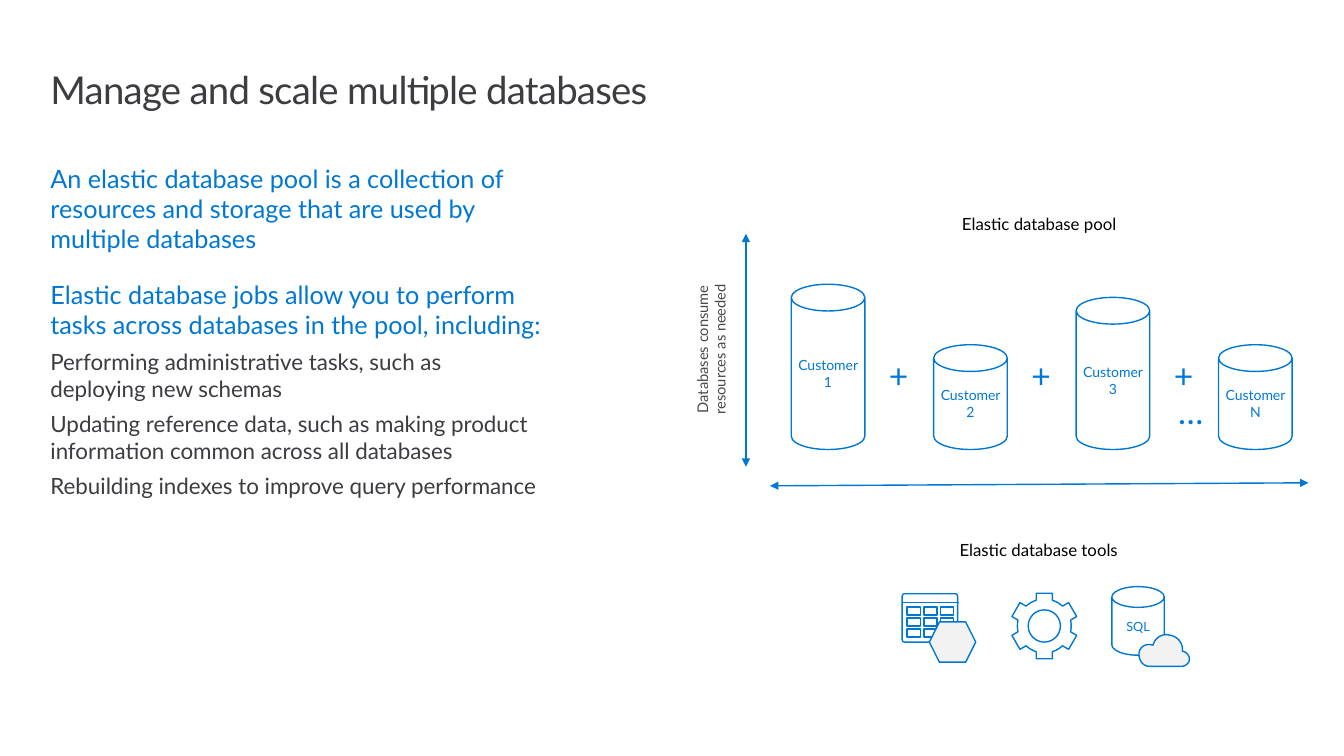
import math
from dataclasses import dataclass
from typing import Any

from lxml import etree
from pptx import Presentation
from pptx import util as u
from pptx.dml import color
from pptx.enum import shapes, text
from pptx.oxml import ns
from pptx.slide import Slide

SLIDE_COLS, SLIDE_ROWS = 133.33, 75
CELL = u.Inches(0.1)
FONT = "Lato"
COLORS = {
    "line": "0078D3", "label": "0078D7", "body": "3C3C41",
    "axis": "494949", "caption": "000000", "pale": "F2F2F2",
}
KIND = shapes.MSO_SHAPE


@dataclass
class Box:
    col: float
    row: float
    cols: float
    rows: float

    def place(self) -> tuple[int, int, int, int]:
        return cells(self.col), cells(self.row), cells(self.cols), cells(self.rows)


@dataclass
class Label:
    words: str
    box: Box
    size: float
    hue: str
    spacing: float = 1.0
    turn: int = 0
    wrap: bool = True


@dataclass
class Bullet:
    words: str
    size: int
    hue: str
    before: int


@dataclass
class Customer:
    name: str
    rows: float


TITLE = Label("Manage and scale multiple databases", Box(5, 6.1, 123.6, 8.9), 27.4, "body", 0.9)
BODY_BOX = Box(5, 15.2, 52.8, 35)
BODY = [
    Bullet("An elastic database pool is a collection of resources and storage "
           "that are used by multiple databases", 18, "line", 0),
    Bullet("Elastic database jobs allow you to perform tasks across databases "
           "in the pool, including:", 18, "line", 12),
    Bullet("Performing administrative tasks, such as\vdeploying new schemas", 16, "body", 0),
    Bullet("Updating reference data, such as making product information common "
           "across all databases", 16, "body", 0),
    Bullet("Rebuilding indexes to improve query performance", 16, "body", 0),
]
LABELS = [
    Label("…", Box(115.9, 38.3, 3.2, 5), 24, "label"),
    Label("Elastic database pool", Box(94.1, 20.7, 18, 3), 12, "caption", wrap=False),
    Label("Databases consume resources as needed", Box(62.3, 32.4, 16.5, 4.5), 10.5, "axis", turn=270),
    Label("Elastic database tools", Box(92.1, 53.1, 21.9, 3), 12, "caption"),
]
CUSTOMERS = [Customer("1", 16.4), Customer("2", 10.4), Customer("3", 15.1), Customer("N", 10.4)]
CUSTOMER_STEP, POOL_FLOOR = 14.13, 44.6
CLOUD_START = (116, 63)
CLOUD_CURVES = [
    ((116.8, 63.1), (117.4, 63.8), (117.3, 64.6)),
    ((117.8, 64.7), (118, 65.1), (118, 65.4)),
    ((118, 65.7), (117.7, 66.1), (117.2, 66.1)),
    ((116, 66.1), (115, 66.1), (114, 66.1)),
    ((113.4, 66.1), (113, 65.5), (113, 65)),
    ((112.9, 64.5), (113.4, 63.7), (114.4, 64)),
    ((114.5, 63.4), (115.2, 62.8), CLOUD_START),
]


def cells(count: float) -> int:
    return round(count * CELL)


def rgb(hue: str) -> color.RGBColor:
    return color.RGBColor.from_string(COLORS[hue])


def style_paragraph(p: Any, size: float, hue: str) -> None:
    p.font.name = FONT
    p.font.size = u.Pt(size)
    p.font.color.rgb = rgb(hue)


def set_margins(tf: Any, left: float, top: float, right: float, bottom: float) -> None:
    tf.margin_left, tf.margin_top = cells(left), cells(top)
    tf.margin_right, tf.margin_bottom = cells(right), cells(bottom)


def add_title(s: Slide, label: Label) -> None:
    sp = s.shapes.title
    sp.left, sp.top, sp.width, sp.height = label.box.place()
    tf = sp.text_frame
    tf.vertical_anchor = text.MSO_ANCHOR.TOP
    tf.auto_size = text.MSO_AUTO_SIZE.NONE
    set_margins(tf, 0, 1, 1.6, 1)
    p = tf.paragraphs[0]
    r = p.add_run()
    r.text = label.words
    r._r.get_or_add_rPr().set("spc", "-50")
    p.alignment = text.PP_ALIGN.LEFT
    p.line_spacing = label.spacing
    style_paragraph(p, label.size, label.hue)


def add_body(s: Slide) -> None:
    tf = s.shapes.add_textbox(*BODY_BOX.place()).text_frame
    tf.word_wrap = True
    set_margins(tf, 0, 1, 1.6, 1)
    for i, bullet in enumerate(BODY):
        p = tf.add_paragraph() if i else tf.paragraphs[0]
        p.text = bullet.words
        p.space_before = u.Pt(bullet.before)
        p.space_after = u.Pt(6)
        style_paragraph(p, bullet.size, bullet.hue)


def add_label(s: Slide, label: Label) -> None:
    sp = s.shapes.add_textbox(*label.box.place())
    sp.rotation = label.turn
    sp.text_frame.word_wrap = label.wrap
    p = sp.text_frame.paragraphs[0]
    p.text = label.words
    p.alignment = text.PP_ALIGN.CENTER
    p.line_spacing = label.spacing
    style_paragraph(p, label.size, label.hue)


def outline(sp: Any, fill: str = "") -> None:
    sp.shadow.inherit = False
    if fill:
        sp.fill.solid()
        sp.fill.fore_color.rgb = rgb(fill)
    else:
        sp.fill.background()
    sp.line.color.rgb = rgb("line")
    sp.line.width = u.Pt(1)


def add_outlined(s: Slide, kind: Any, box: Box, fill: str = "", adjust: float | None = None) -> Any:
    sp = s.shapes.add_shape(kind, *box.place())
    outline(sp, fill)
    if adjust is not None:
        sp.adjustments[0] = adjust
    return sp


def add_can(s: Slide, words: str, box: Box, size: float, adjust: float,
            margins: tuple[float, float]) -> None:
    tf = add_outlined(s, KIND.CAN, box, adjust=adjust).text_frame
    tf.word_wrap = True
    tf.vertical_anchor = text.MSO_ANCHOR.MIDDLE
    set_margins(tf, *margins, *margins)
    p = tf.paragraphs[0]
    p.text = words
    p.alignment = text.PP_ALIGN.CENTER
    style_paragraph(p, size, "label")


def add_line(s: Slide, x1: float, y1: float, x2: float, y2: float, arrows: bool = False) -> None:
    sp = s.shapes.add_connector(shapes.MSO_CONNECTOR.STRAIGHT, *map(cells, (x1, y1, x2, y2)))
    sp.line.color.rgb = rgb("line")
    sp.line.width = u.Pt(1)
    spPr = sp._element.spPr
    etree.SubElement(spPr, ns.qn("a:effectLst"))
    if arrows:
        for end in ("a:headEnd", "a:tailEnd"):
            etree.SubElement(spPr.find(ns.qn("a:ln")), ns.qn(end), type="triangle")


def add_outline_path(s: Slide, points: list[tuple[float, float]], fill: str = "") -> None:
    dots = [(cells(x), cells(y)) for x, y in points]
    builder = s.shapes.build_freeform(*dots[0])
    builder.add_line_segments(dots[1:], close=True)
    outline(builder.convert_to_shape(), fill)


def gear_points(x: float, y: float) -> list[tuple[float, float]]:
    tooth = [(-0.8, 2.55), (-0.8, 3.25), (0.8, 3.25), (0.8, 2.55)]
    arc = [(2.67 * math.sin(math.radians(a)), 2.67 * math.cos(math.radians(a))) for a in (24, 30, 36)]
    points = []
    for k in range(6):
        c, n = math.cos(k * math.pi / 3), math.sin(k * math.pi / 3)
        points += [(x + px * c + py * n, y + px * n - py * c) for px, py in tooth + arc]
    return points


def cloud_points(steps: int = 12) -> list[tuple[float, float]]:
    points = [CLOUD_START]
    for a, b, end in CLOUD_CURVES:
        start = points[-1]
        for t in (i / steps for i in range(1, steps + 1)):
            weights = ((1 - t) ** 3, 3 * t * (1 - t) ** 2, 3 * t * t * (1 - t), t ** 3)
            points.append(tuple(sum(w * q[axis] for w, q in zip(weights, (start, a, b, end)))
                                for axis in (0, 1)))
    return points


def add_pool(s: Slide) -> None:
    add_line(s, 129.8, 47.9, 76.4, 48.2, arrows=True)
    add_line(s, 74, 23.2, 74, 46.3, arrows=True)
    for i, customer in enumerate(CUSTOMERS):
        shift = i * CUSTOMER_STEP
        box = Box(78.5 + shift, POOL_FLOOR - customer.rows, 7.3, customer.rows)
        add_can(s, f"Customer {customer.name}", box, 10, 0.364, (0.5, 0))
        if i < len(CUSTOMERS) - 1:
            add_label(s, Label("+", Box(86.7 + shift, 35.2, 4.9, 4.6), 24, "label", 0.9))


def add_tools(s: Slide) -> None:
    add_outlined(s, KIND.ROUNDED_RECTANGLE, Box(89.5, 58.9, 5.5, 4.8), adjust=0.052)
    for i in range(9):
        row, col = divmod(i, 3)
        add_outlined(s, KIND.RECTANGLE, Box(90 + col * 1.65, 60.2 + row * 1.1, 1.3, 0.8))
    add_line(s, 89.5, 59.8, 95.1, 59.8)
    add_outlined(s, KIND.HEXAGON, Box(92.2, 61.7, 4.6, 4), "pale")
    add_can(s, "SQL", Box(110.3, 58.2, 5.2, 6.8), 9, 0.395, (0, 1.6))
    add_outline_path(s, cloud_points(), "pale")
    add_outline_path(s, gear_points(103.6, 62.1))
    add_outlined(s, KIND.OVAL, Box(102, 60.5, 3.2, 3.2))


def main() -> None:
    prs = Presentation()
    prs.slide_width, prs.slide_height = cells(SLIDE_COLS), cells(SLIDE_ROWS)
    s = prs.slides.add_slide(prs.slide_layouts[5])
    add_title(s, TITLE)
    add_body(s)
    add_pool(s)
    for label in LABELS:
        add_label(s, label)
    add_tools(s)
    prs.save("out.pptx")


if __name__ == "__main__":
    main()
